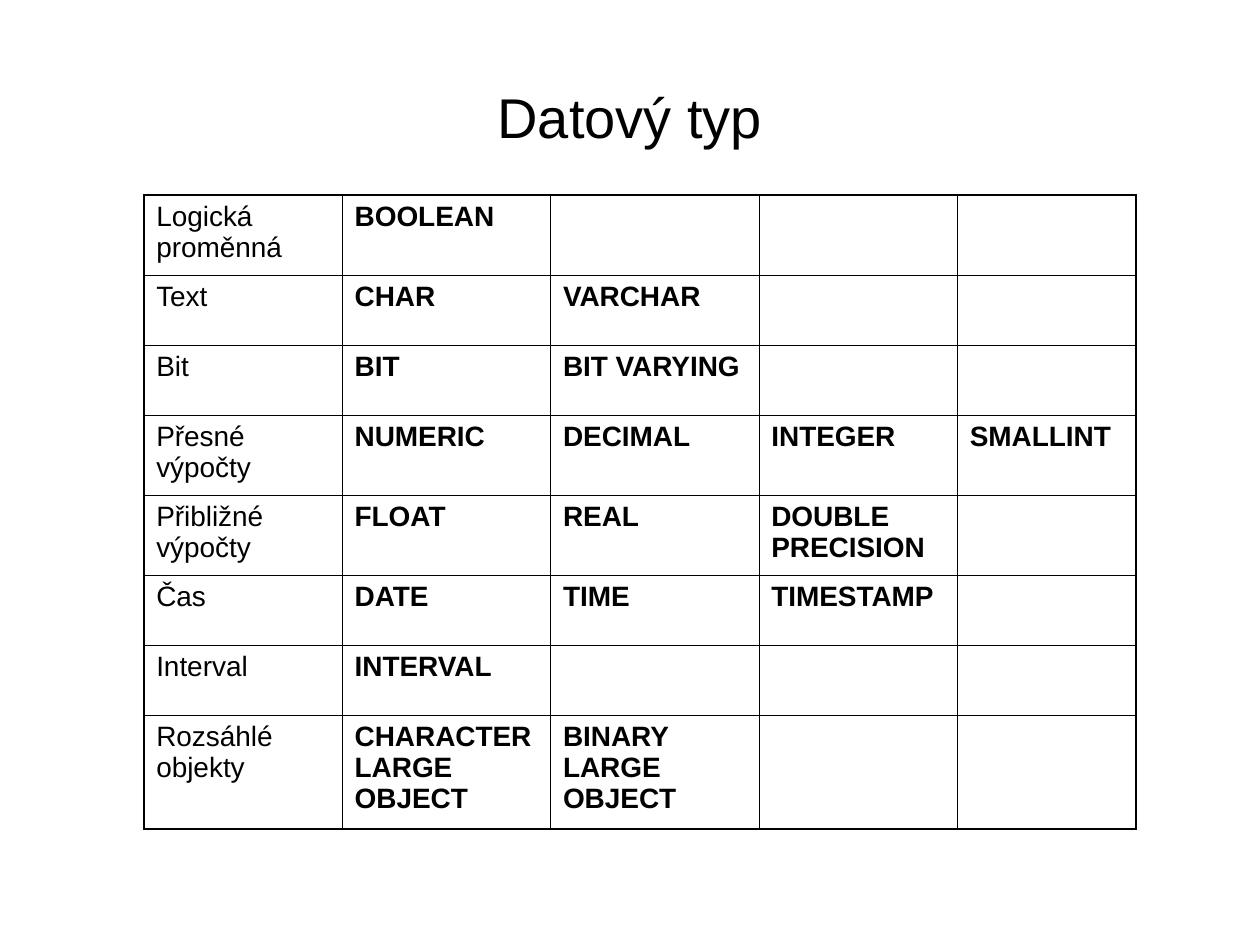
from dataclasses import dataclass

from lxml.etree import SubElement
from pptx import Presentation
from pptx.dml.color import RGBColor
from pptx.enum.text import MSO_ANCHOR as Anchor, PP_ALIGN as Align
from pptx.oxml.ns import qn
from pptx.util import Cm, Pt


@dataclass(frozen=True)
class Theme:
    font: str = "Arial"
    ink: str = "000000"
    paper: str = "FFFFFF"
    title_size: float = 32
    cell_size: float = 16
    outer_line: float = 1.08
    inner_line: float = 0.45


THEME = Theme()
BLANK_LAYOUT = 6
MARGIN_X, MARGIN_Y = Cm(0.25), Cm(0.13)
COLUMN_WIDTHS = [4, 4.2, 4.2, 4, 3.6]
# Row height in cm by the number of text lines in the row
HEIGHT_BY_LINES = {1: 1.41, 2: 1.61, 3: 2.29}

# Number of text lines, category, SQL types
DATA_TYPES = [
    (2, "Logická proměnná", "BOOLEAN"),
    (1, "Text", "CHAR", "VARCHAR"),
    (1, "Bit", "BIT", "BIT VARYING"),
    (2, "Přesné výpočty", "NUMERIC", "DECIMAL", "INTEGER", "SMALLINT"),
    (2, "Přibližné výpočty", "FLOAT", "REAL", "DOUBLE PRECISION"),
    (1, "Čas", "DATE", "TIME", "TIMESTAMP"),
    (1, "Interval", "INTERVAL"),
    (3, "Rozsáhlé objekty", "CHARACTER LARGE OBJECT", "BINARY LARGE OBJECT"),
]


def write_text(frame, text, *, size, bold=False, align=Align.LEFT):
    para = frame.paragraphs[0]
    para.alignment = align
    span = para.add_run()
    span.text = text
    span.font.name = THEME.font
    span.font.size = Pt(size)
    span.font.bold = bold
    span.font.color.rgb = RGBColor.from_string(THEME.ink)


def add_title(page, text):
    box = page.shapes.add_textbox(Cm(1.27), Cm(0.76), Cm(22.86), Cm(3.18))
    frame = box.text_frame
    frame.word_wrap = True
    frame.vertical_anchor = Anchor.MIDDLE
    write_text(frame, text, size=THEME.title_size, align=Align.CENTER)


def set_borders(cell, outer_sides):
    """Draw all four sides, heavier on those at the table's edge."""
    props = cell._tc.get_or_add_tcPr()
    for position, side in enumerate("LRTB"):
        width = THEME.outer_line if side in outer_sides else THEME.inner_line
        line = SubElement(props, qn(f"a:ln{side}"), w=str(Pt(width)))
        props.remove(line)
        props.insert(position, line)
        fill = SubElement(line, qn("a:solidFill"))
        SubElement(fill, qn("a:srgbClr"), val=THEME.ink)


def format_cell(cell, outer_sides):
    cell.margin_left = cell.margin_right = MARGIN_X
    cell.margin_top = cell.margin_bottom = MARGIN_Y
    cell.fill.solid()
    cell.fill.fore_color.rgb = RGBColor.from_string(THEME.paper)
    set_borders(cell, outer_sides)


def add_type_table(page, records):
    heights = [HEIGHT_BY_LINES[lines] for lines, *_ in records]
    last_row, last_col = len(records) - 1, len(COLUMN_WIDTHS) - 1
    table = page.shapes.add_table(
        len(records), len(COLUMN_WIDTHS), Cm(2.9), Cm(3.93),
        Cm(sum(COLUMN_WIDTHS)), Cm(sum(heights))).table
    table.first_row = table.horz_banding = False
    for column, width in zip(table.columns, COLUMN_WIDTHS):
        column.width = Cm(width)

    for r, (_, *texts) in enumerate(records):
        table.rows[r].height = Cm(heights[r])
        for c in range(last_col + 1):
            edges = {"L": c == 0, "R": c == last_col, "T": r == 0, "B": r == last_row}
            cell = table.cell(r, c)
            format_cell(cell, [side for side, at_edge in edges.items() if at_edge])
            if c < len(texts):
                write_text(cell.text_frame, texts[c], size=THEME.cell_size, bold=c > 0)


def main():
    deck = Presentation()
    deck.slide_width, deck.slide_height = Cm(25.4), Cm(19.05)
    page = deck.slides.add_slide(deck.slide_layouts[BLANK_LAYOUT])
    add_title(page, "Datový typ")
    add_type_table(page, DATA_TYPES)
    deck.save("out.pptx")


if __name__ == "__main__":
    main()
